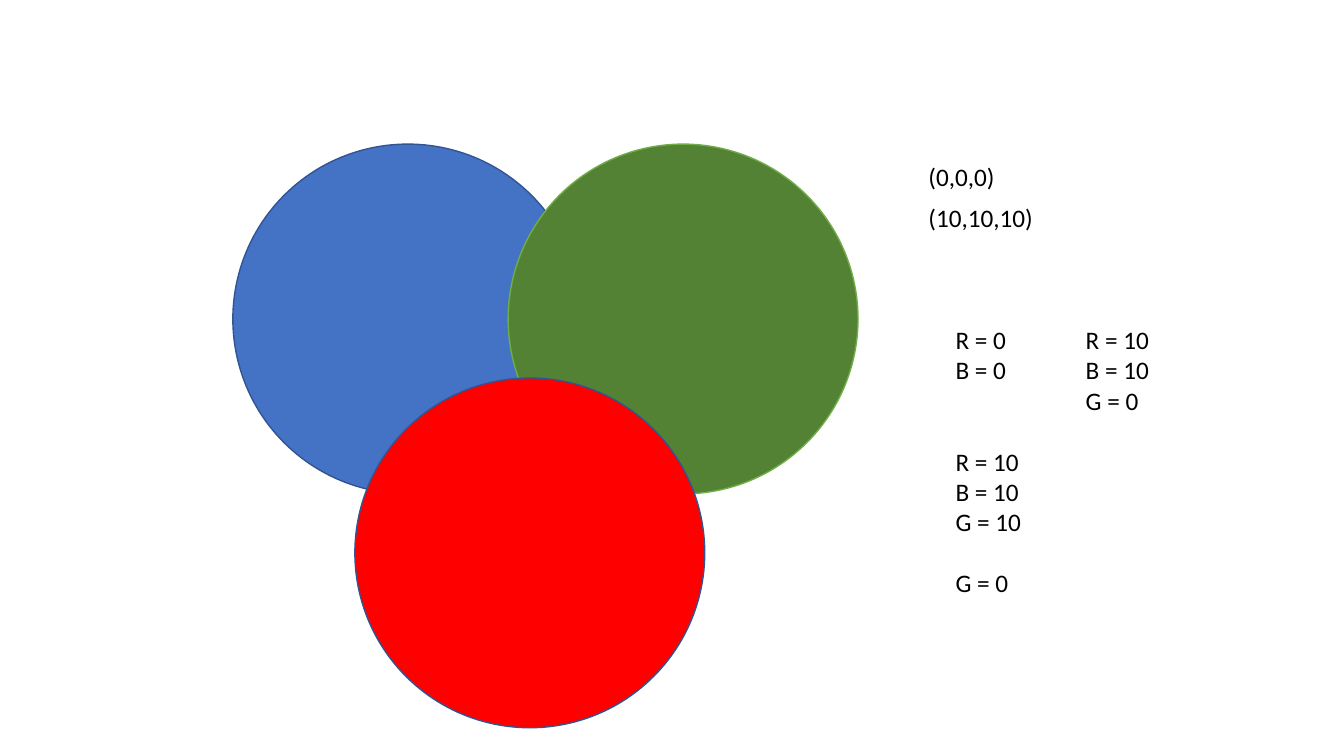
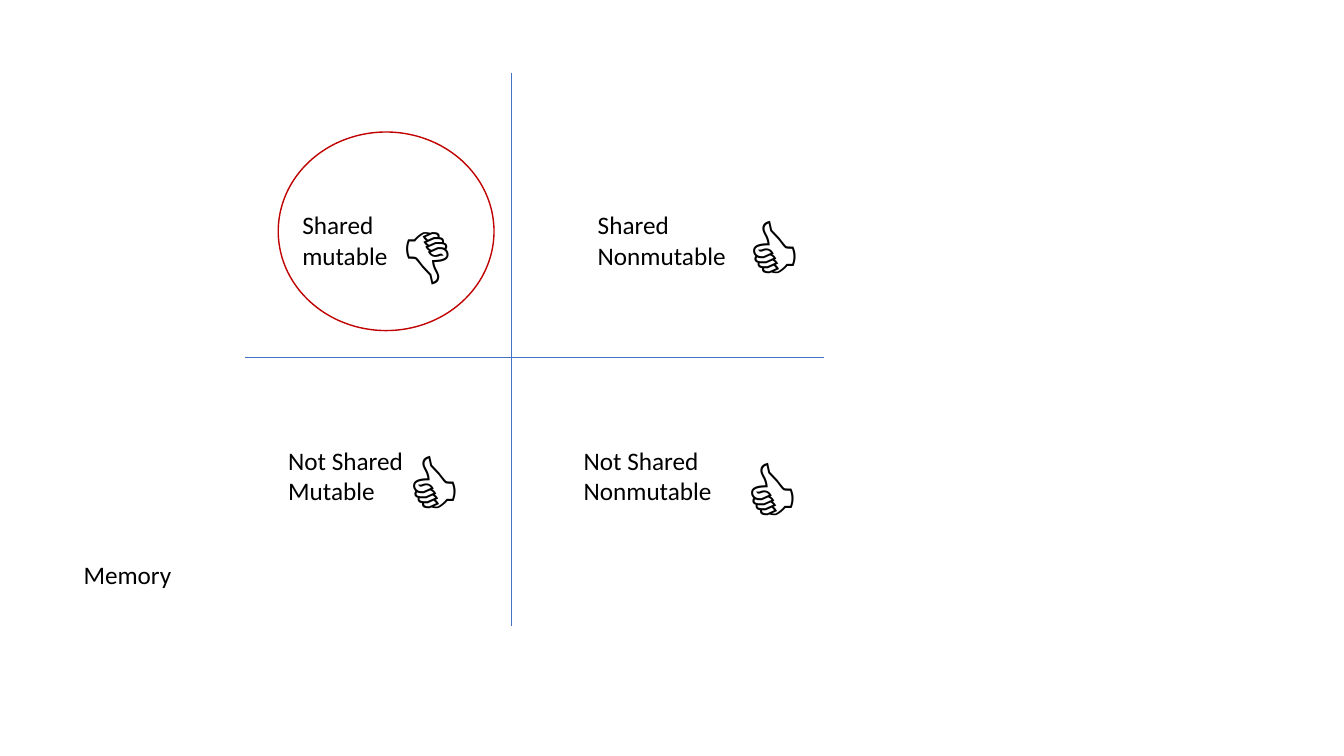
from pptx import Presentation
from pptx.dml.color import RGBColor
from pptx.enum import shapes, text
from pptx.oxml import parse_xml
from pptx.util import Inches, Pt

COLORS = {"blue": "4472C4", "navy": "325491", "green": "548235", "lime": "70AD47",
          "red": "FF0000", "dark_red": "C00000", "black": "000000"}
COLORS = {name: RGBColor.from_string(value) for name, value in COLORS.items()}
FONT = "Calibri"
EFFECTS = '<a:effectLst xmlns:a="http://schemas.openxmlformats.org/drawingml/2006/main"/>'

prs = Presentation()
prs.slide_width, prs.slide_height = Inches(13.33), Inches(7.5)
blank = prs.slide_layouts[6]


def add_label(s, x, y, w, h, lines, size=18):
    """Add a text box with one paragraph per line and return its paragraphs."""
    tf = s.shapes.add_textbox(Inches(x), Inches(y), Inches(w), Inches(h)).text_frame
    tf.word_wrap = False
    tf.auto_size = text.MSO_AUTO_SIZE.SHAPE_TO_FIT_TEXT
    tf.text = lines
    for p in tf.paragraphs:
        font = p.runs[0].font
        font.name, font.size, font.color.rgb = FONT, Pt(size), COLORS["black"]
    return tf.paragraphs


def add_oval(s, x, y, w, h, line, fill=None):
    sp = s.shapes.add_shape(shapes.MSO_SHAPE.OVAL, Inches(x), Inches(y), Inches(w), Inches(h))
    sp.shadow.inherit = False
    sp.line.color.rgb, sp.line.width = COLORS[line], Pt(1)
    if fill:
        sp.fill.solid()
        sp.fill.fore_color.rgb = COLORS[fill]
    else:
        sp.fill.background()


# Slide 1: overlapping colour circles
s = prs.slides.add_slide(blank)
diameter = 3.47
for x, y, fill, line in [(2.31, 1.43, "blue", "navy"),
                         (5.04, 1.43, "green", "lime"),
                         (3.52, 3.75, "red", "navy")]:
    add_oval(s, x, y, diameter, diameter, line, fill)

# Colour values
add_label(s, 9.11, 1.55, 0.87, 0.4, "(0,0,0)")
add_label(s, 9.11, 1.96, 1.25, 0.4, "(10,10,10)")
steps = add_label(s, 9.38, 3.17, 0.86, 3.13, "R = 0\nB = 0\nR = 10\nB = 10\nG = 10\nG = 0")
steps[2].space_before = Pt(43.5)
steps[5].space_before = Pt(21.75)
add_label(s, 10.67, 3.17, 0.84, 1.01, "R = 10\nB = 10\nG = 0")

# Slide 2: sharing and mutability quadrants
s = prs.slides.add_slide(blank)
for x1, y1, x2, y2 in [(2.43, 3.55, 8.17, 3.55), (5.07, 0.72, 5.07, 6.21)]:
    axis = s.shapes.add_connector(shapes.MSO_CONNECTOR.STRAIGHT,
                                  Inches(x1), Inches(y1), Inches(x2), Inches(y2))
    axis.line.color.rgb, axis.line.width = COLORS["blue"], Pt(0.5)
    axis._element.spPr.append(parse_xml(EFFECTS))

# Quadrant labels
add_label(s, 0.73, 5.5, 1.08, 0.71, "Memory")
for x, y, w, lines in [(2.9, 2.03, 1.06, "Shared\nmutable"),
                       (2.76, 4.37, 1.35, "Not Shared\nMutable"),
                       (5.83, 2.03, 1.49, "Shared\nNonmutable"),
                       (5.69, 4.37, 1.49, "Not Shared\nNonmutable")]:
    add_label(s, x, y, w, 0.71, lines)

# Verdicts
for x, y, thumb in [(7.31, 1.93, "👍"), (7.29, 4.33, "👍"),
                    (3.93, 4.26, "👍"), (3.86, 1.93, "👎")]:
    add_label(s, x, y, 1.04, 1.11, thumb, 60)

# Ring around the risky quadrant
add_oval(s, 2.76, 1.31, 2.14, 1.97, "dark_red")

prs.save("out.pptx")
